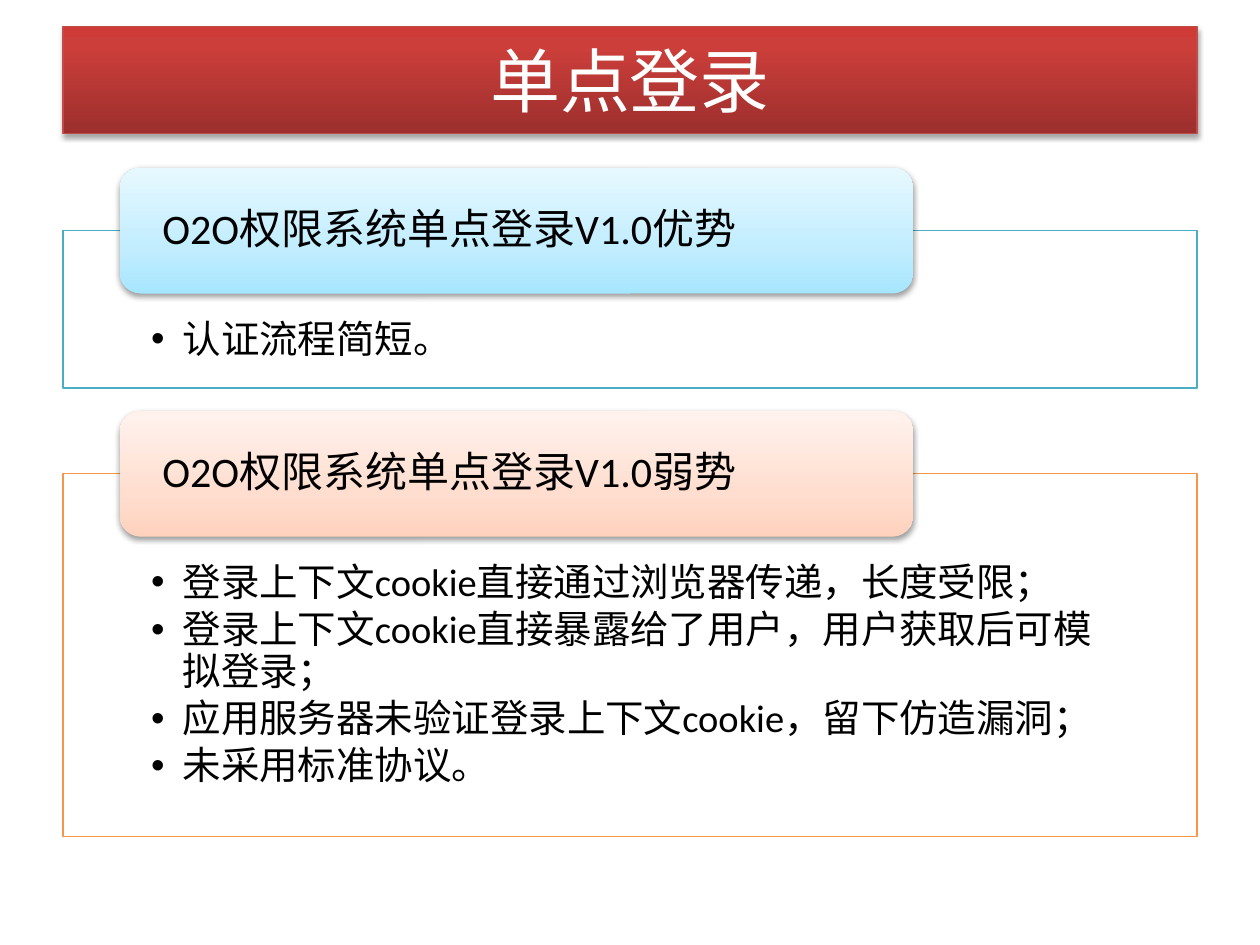
"""Build the single sign-on slide with its strengths and weaknesses."""
from copy import deepcopy
from dataclasses import dataclass

from lxml import etree
from pptx import Presentation
from pptx.dml.color import RGBColor
from pptx.enum.shapes import MSO_SHAPE
from pptx.enum.text import MSO_ANCHOR, MSO_AUTO_SIZE, PP_ALIGN
from pptx.oxml.ns import qn
from pptx.util import Inches, Pt

ROUND = MSO_SHAPE.ROUNDED_RECTANGLE
MIDDLE = MSO_ANCHOR.MIDDLE
TOP = MSO_ANCHOR.TOP
NO_FIT = MSO_AUTO_SIZE.NONE
LEFT = PP_ALIGN.LEFT
CENTER = PP_ALIGN.CENTER


@dataclass(frozen=True)
class Theme:
    """Colours, type sizes and font of the slide."""
    font: str = "Calibri"
    title_size: float = 40
    tab_size: float = 24
    list_size: float = 22
    dark: str = "000000"
    light: str = "FFFFFF"
    edge: str = "BF4C48"
    red: tuple = ((0, "9C2F2D"), (0.8, "CB3E3A"), (1, "CE3B37"))
    aqua: str = "4BACC6"
    blue: tuple = ((0, "A7E6FF"), (0.35, "C1EDFF"), (1, "E7F8FF"))
    orange: str = "F79646"
    peach: tuple = ((0, "FFD2BD"), (0.35, "FFDED0"), (1, "FFF2ED"))


@dataclass(frozen=True)
class Panel:
    """A framed list with a tab on its top edge."""
    top: float
    height: float
    line: str
    stops: tuple
    head: str
    items: tuple


THEME = Theme()
PANELS = (
    Panel(1.83, 1.25, THEME.aqua, THEME.blue, "O2O权限系统单点登录V1.0优势",
          ("认证流程简短。",)),
    Panel(3.76, 2.88, THEME.orange, THEME.peach, "O2O权限系统单点登录V1.0弱势",
          ("登录上下文cookie直接通过浏览器传递，长度受限；",
           "登录上下文cookie直接暴露给了用户，用户获取后可模拟登录；",
           "应用服务器未验证登录上下文cookie，留下仿造漏洞；",
           "未采用标准协议。")),
)


def place(shape, left: float, top: float, width: float, height: float) -> None:
    """Set the place and size of a shape in inches."""
    shape.left, shape.top = Inches(left), Inches(top)
    shape.width, shape.height = Inches(width), Inches(height)


def outline(shape, color: str) -> None:
    """Draw a thin line round a shape."""
    shape.line.color.rgb = RGBColor.from_string(color)
    shape.line.width = Pt(0.75)


def blend(shape, stops: tuple) -> None:
    """Fill a shape with a three-stop gradient rising from its base."""
    shape.fill.gradient()
    shape.fill.gradient_angle = 90
    group = shape.element.spPr.find(".//" + qn("a:gsLst"))
    group.append(deepcopy(group[-1]))
    for stop, (spot, color) in zip(shape.fill.gradient_stops, stops):
        stop.position = spot
        stop.color.rgb = RGBColor.from_string(color)


def shade(shape, drop: float, alpha: int) -> None:
    """Cast a soft black shadow below a shape."""
    shape.shadow.inherit = False
    effect = shape.element.spPr.find(qn("a:effectLst"))
    outer = etree.SubElement(
        effect, qn("a:outerShdw"), blurRad=str(Pt(3.1)), dist=str(Pt(drop)),
        dir="5400000", rotWithShape="0")
    color = etree.SubElement(outer, qn("a:srgbClr"), val="000000")
    etree.SubElement(color, qn("a:alpha"), val=str(alpha * 1000))


def style(shape, size: float, color: str, align, anchor) -> None:
    """Format all the text of a shape."""
    frame = shape.text_frame
    frame.word_wrap = True
    frame.auto_size = NO_FIT
    frame.vertical_anchor = anchor
    for para in frame.paragraphs:
        para.alignment = align
        for run in para.runs:
            run.font.name = THEME.font
            run.font.size = Pt(size)
            run.font.color.rgb = RGBColor.from_string(color)


def inset(frame, side: float, top: float, base: float) -> None:
    """Set the margins of a text frame in inches."""
    frame.margin_left = frame.margin_right = Inches(side)
    frame.margin_top, frame.margin_bottom = Inches(top), Inches(base)


def bullet(para) -> None:
    """Give a paragraph a hanging round bullet and tight spacing."""
    para.level = 1
    para.line_spacing = 0.9
    para.space_before = Pt(0)
    para.space_after = Pt(3.3)
    props = para._p.get_or_add_pPr()
    props.set("marL", str(Inches(0.25)))
    props.set("indent", str(Inches(-0.25)))
    etree.SubElement(props, qn("a:buChar"), char="•")


def draw_title(title) -> None:
    """Turn the title into a red banner."""
    place(title, 0.5, 0.21, 9, 0.85)
    title.text_frame.text = "单点登录"
    blend(title, THEME.red)
    outline(title, THEME.edge)
    shade(title, 1.8, 35)
    style(title, THEME.title_size, THEME.light, CENTER, MIDDLE)


def draw_panel(slide, body, panel: Panel) -> None:
    """Draw one framed list and its tab."""
    place(body, 0.5, panel.top, 9, panel.height)
    body.fill.solid()
    body.fill.fore_color.rgb = RGBColor.from_string(THEME.light)
    outline(body, panel.line)
    frame = body.text_frame
    frame.text = "\n".join(panel.items)
    inset(frame, 0.7, 0.71, 0.17)
    for para in frame.paragraphs:
        bullet(para)
    style(body, THEME.list_size, THEME.dark, LEFT, TOP)

    tab = slide.shapes.add_shape(
        ROUND, Inches(0.95), Inches(panel.top - 0.5), Inches(6.3), Inches(1))
    blend(tab, panel.stops)
    tab.line.fill.background()
    shade(tab, 1.6, 38)
    tab.text_frame.text = panel.head
    inset(tab.text_frame, 0.29, 0, 0)
    tab.text_frame.paragraphs[0].line_spacing = 0.9
    style(tab, THEME.tab_size, THEME.dark, LEFT, MIDDLE)


def main() -> None:
    """Build and save the deck."""
    deck = Presentation()
    deck.slide_width, deck.slide_height = Inches(10), Inches(7.5)
    slide = deck.slides.add_slide(deck.slide_layouts[3])
    title, *bodies = slide.placeholders
    draw_title(title)
    for body, panel in zip(bodies, PANELS):
        draw_panel(slide, body, panel)
    deck.save("out.pptx")


if __name__ == "__main__":
    main()
